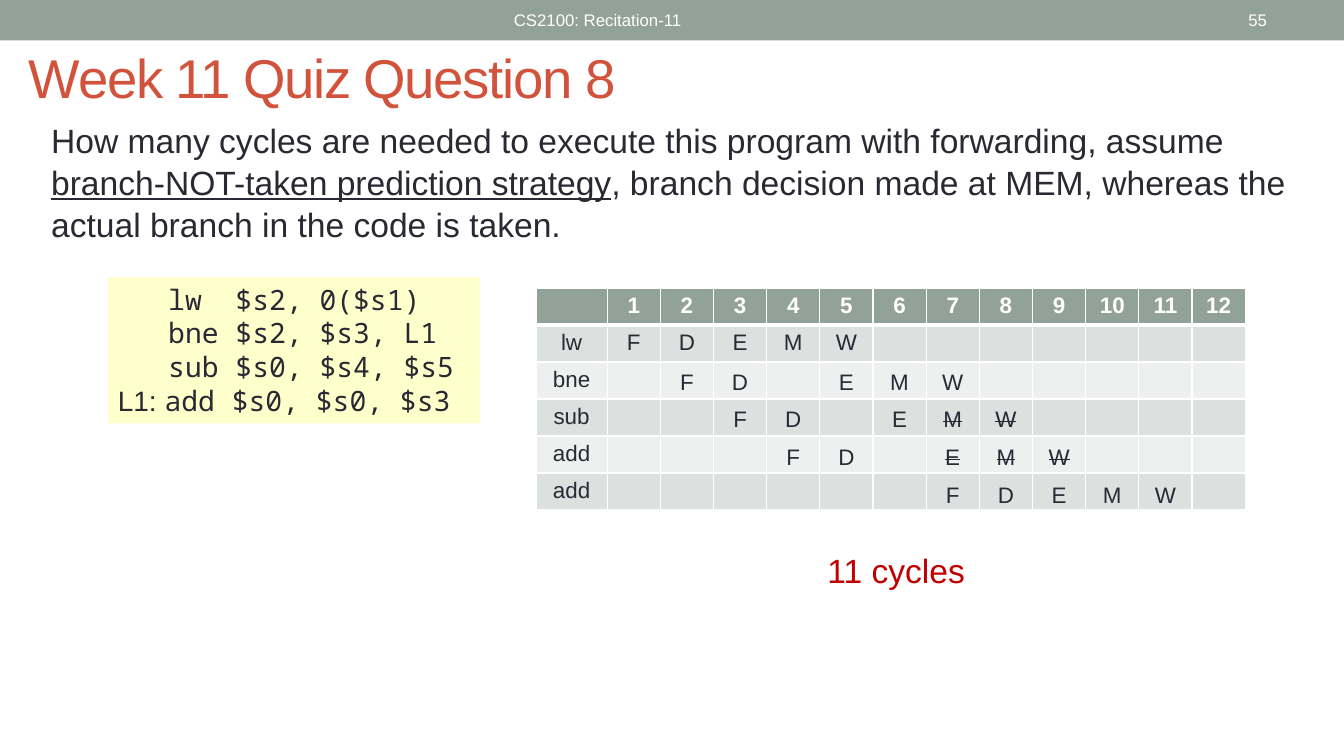
from pptx import Presentation
from pptx.dml.color import RGBColor
from pptx.enum.shapes import MSO_SHAPE
from pptx.enum.text import MSO_ANCHOR, PP_ALIGN
from pptx.oxml.ns import qn
from pptx.util import Cm, Pt
from lxml.etree import SubElement

INK, WHITE, SAGE, RUST, RED = "292934", "FFFFFF", "93A299", "D2533C", "C00000"
CREAM, BANDS = "FFFFCC", ("DCE0DE", "EEF0EF")
MONO = "Noto Sans Mono"

COURSE, PAGE = "CS2100: Recitation-11", "55"
TITLE = "Week 11 Quiz Question 8"
QUESTION = [
    ("How many cycles are needed to execute this program with forwarding, assume ", {}),
    ("branch-NOT-taken prediction strategy", {"underline": True}),
    (", branch decision made at MEM, whereas the actual branch in the code is taken.", {}),
]
INDENTED_CODE = ["lw  $s2, 0($s1)", "bne $s2, $s3, L1", "sub $s0, $s4, $s5"]
LABELLED_CODE = [("L1: ", {"font": "Arial"}), ("add $s0, $s0, $s3", {})]
ANSWER = "11 cycles"

CYCLES = 12
INSTRUCTIONS = ["lw", "bne", "sub", "add", "add"]
LW_STAGES = "FDEMW"
# Cycle of each of the stages F D E M W, and the stages that are flushed
PIPELINE = [
    ((2, 3, 5, 6, 7), ""),
    ((3, 4, 6, 7, 8), "MW"),
    ((4, 5, 7, 8, 9), "EMW"),
    ((7, 8, 9, 10, 11), ""),
]

TABLE_LEFT, TABLE_TOP = 13.51, 7.26
NAME_WIDTH, CYCLE_WIDTH, ROW_HEIGHT = 1.79, 1.34, 0.93
STAGES_TOP, STAGES_PITCH, STAGES_HEIGHT = 9.14, 0.95, 0.94
INSET, HALF_LETTER = 0.25, 0.17


def colour(value):
    """Turn a hex string into a colour."""
    return RGBColor.from_string(value)


def write(frame, paragraphs, size=16, font="Arial", color=INK, bold=False,
          align=PP_ALIGN.LEFT, anchor=MSO_ANCHOR.TOP, spacing=None,
          tracking=None, tabs=(), indents=()):
    """Fill a text frame with paragraphs: strings or lists of (text, changes)."""
    frame.word_wrap = True
    frame.vertical_anchor = anchor
    for index, pieces in enumerate(paragraphs):
        paragraph = frame.paragraphs[0] if index == 0 else frame.add_paragraph()
        paragraph.alignment = align
        if spacing:
            paragraph.line_spacing = spacing
        properties = paragraph._p.get_or_add_pPr()
        if index < len(indents):
            properties.set("marL", str(Cm(indents[index])))
        if tabs:
            stops = SubElement(properties, qn("a:tabLst"))
            for position in tabs:
                SubElement(stops, qn("a:tab"), pos=str(Cm(position)), algn="ctr")
        for words, changes in [(pieces, {})] if isinstance(pieces, str) else pieces:
            run = paragraph.add_run()
            run.text = words
            run.font.size, run.font.bold = Pt(size), bold
            run.font.name = changes.get("font", font)
            run.font.color.rgb = colour(color)
            run.font.underline = changes.get("underline")
            if changes.get("strike"):
                run._r.get_or_add_rPr().set("strike", "sngStrike")
            if tracking:
                run._r.get_or_add_rPr().set("spc", str(tracking))


def text_box(left, top, width, height, paragraphs, **style):
    """Add a text box given in centimetres."""
    box = slide.shapes.add_textbox(Cm(left), Cm(top), Cm(width), Cm(height))
    write(box.text_frame, paragraphs, **style)


def panel(left, top, width, height, fill):
    """Add a flat filled rectangle and return it."""
    shape = slide.shapes.add_shape(
        MSO_SHAPE.RECTANGLE, Cm(left), Cm(top), Cm(width), Cm(height))
    shape.shadow.inherit = False
    shape.fill.solid()
    shape.fill.fore_color.rgb = colour(fill)
    shape.line.fill.background()
    return shape


def format_cell(cell, words, row):
    """Write, border and fill one cell of the pipeline table."""
    heading = row == 0
    if words:
        write(cell.text_frame, [words], color=WHITE if heading else INK,
              bold=heading, align=PP_ALIGN.CENTER)
    else:
        cell.text_frame.paragraphs[0]._p.get_or_add_endParaRPr().set("sz", "1600")
    borders = {"L": 1, "R": 1, "T": 3 if row == 1 else 1, "B": 3 if heading else 1}
    for side, points in borders.items():
        line = SubElement(cell._tc.get_or_add_tcPr(), qn("a:ln" + side), w=str(Pt(points)))
        SubElement(SubElement(line, qn("a:solidFill")), qn("a:srgbClr"), val=WHITE)
    cell.fill.solid()
    cell.fill.fore_color.rgb = colour(SAGE if heading else BANDS[(row - 1) % 2])


def pipeline_table():
    """Add the table of instructions against cycles."""
    rows = [[""] + [str(cycle + 1) for cycle in range(CYCLES)]]
    rows += [[name] + [""] * CYCLES for name in INSTRUCTIONS]
    rows[1][1:1 + len(LW_STAGES)] = LW_STAGES
    table = slide.shapes.add_table(
        len(rows), CYCLES + 1, Cm(TABLE_LEFT), Cm(TABLE_TOP),
        Cm(NAME_WIDTH + CYCLES * CYCLE_WIDTH), Cm(len(rows) * ROW_HEIGHT)).table
    for index, column in enumerate(table.columns):
        column.width = Cm(CYCLE_WIDTH if index else NAME_WIDTH)
    for row, values in enumerate(rows):
        table.rows[row].height = Cm(ROW_HEIGHT)
        for column, words in enumerate(values):
            format_cell(table.cell(row, column), words, row)


def stage_row(index, cycles, flushed):
    """Lay the five stages of one instruction over their cycle columns."""
    first = cycles[0]
    centre = TABLE_LEFT + NAME_WIDTH + (first - 0.5) * CYCLE_WIDTH
    tabs = [HALF_LETTER + (cycle - first) * CYCLE_WIDTH for cycle in cycles[1:]]
    pieces = []
    for stage in LW_STAGES:
        if pieces:
            pieces.append(("\t", {}))
        pieces.append((stage, {"strike": stage in flushed}))
    text_box(centre - HALF_LETTER - INSET, STAGES_TOP + index * STAGES_PITCH,
             tabs[-1] + 1.2, STAGES_HEIGHT, [pieces], tabs=tabs)


presentation = Presentation()
presentation.slide_width, presentation.slide_height = Cm(33.87), Cm(19.05)
slide = presentation.slides.add_slide(presentation.slide_layouts[6])

panel(0, 0, 33.87, 1.02, SAGE)
header = {"size": 12, "color": WHITE, "anchor": MSO_ANCHOR.MIDDLE}
text_box(12.7, 0.05, 15.24, 0.91, [COURSE], **header)
text_box(29.54, 0.05, 2.64, 0.91, [PAGE], align=PP_ALIGN.RIGHT, **header)
text_box(0.48, 0.97, 17.35, 1.93, [TITLE], size=39, color=RUST,
         anchor=MSO_ANCHOR.MIDDLE, tracking=-100)
text_box(1.04, 2.84, 32.59, 3.33, [QUESTION], size=24, spacing=1.05)

program = panel(2.72, 6.99, 9.37, 3.68, CREAM)
write(program.text_frame, INDENTED_CODE + [LABELLED_CODE], size=20, font=MONO,
      spacing=Pt(24), indents=[1.27] * len(INDENTED_CODE))

pipeline_table()
for index, (cycles, flushed) in enumerate(PIPELINE):
    stage_row(index, cycles, flushed)
text_box(20.6, 13.74, 4.72, 1.27, [ANSWER], size=24, color=RED)

presentation.save("out.pptx")
